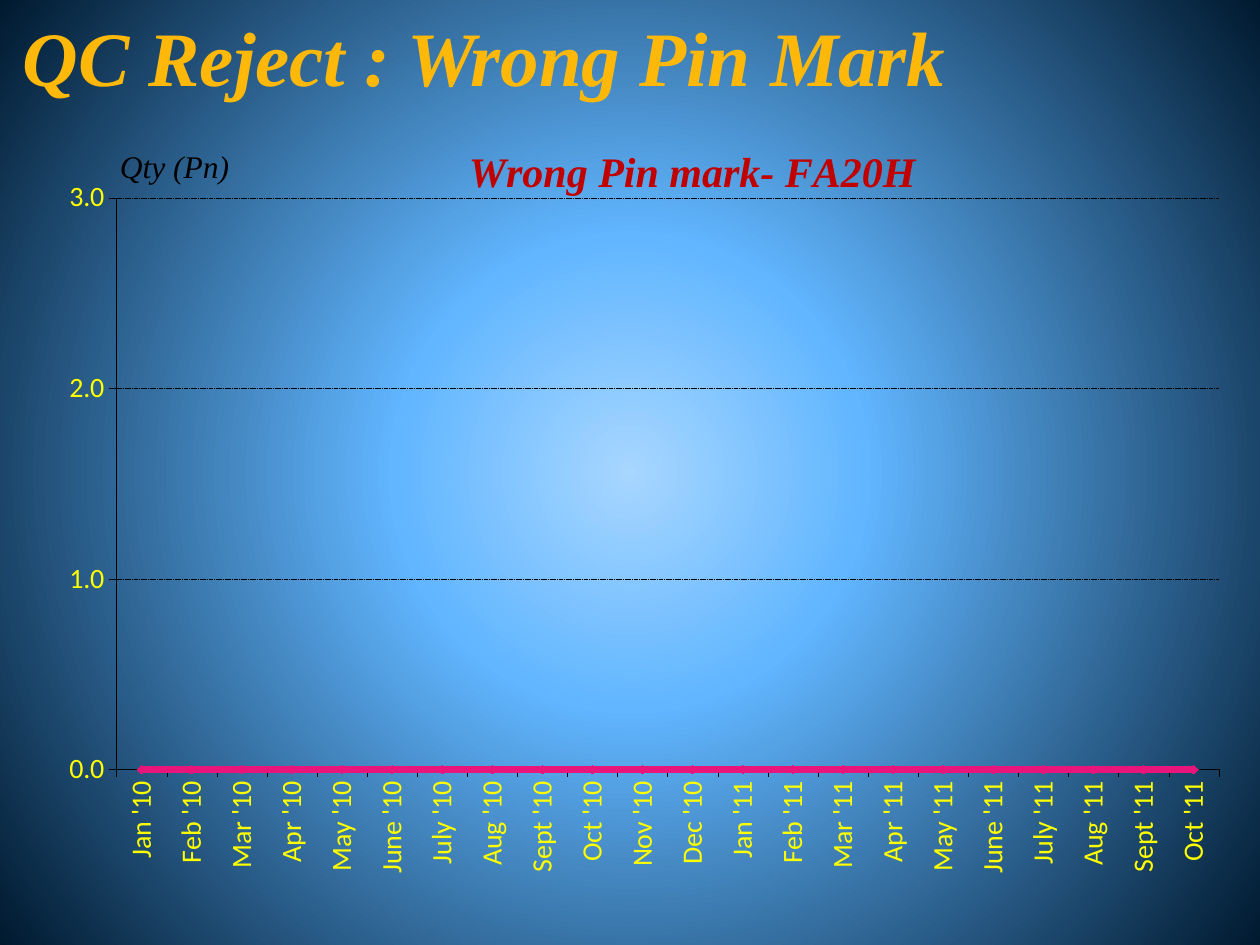
from lxml import etree
from pptx import Presentation
from pptx.chart.data import CategoryChartData
from pptx.dml.color import RGBColor
from pptx.enum.chart import XL_CHART_TYPE, XL_MARKER_STYLE, XL_TICK_MARK
from pptx.enum.dml import MSO_LINE
from pptx.enum.text import MSO_ANCHOR
from pptx.oxml import parse_xml
from pptx.oxml.ns import nsdecls, qn
from pptx.util import Pt

LINE_MARKERS = XL_CHART_TYPE.LINE_MARKERS
DIAMOND = XL_MARKER_STYLE.DIAMOND
OUTSIDE = XL_TICK_MARK.OUTSIDE
SYS_DASH = MSO_LINE.SQUARE_DOT
MIDDLE = MSO_ANCHOR.MIDDLE
SERIF, SANS = "Times New Roman", "Calibri"
COLORS = {
    "center": "A7D6FF", "mid": "61B6FF", "edge": "00192F",
    "title": "FEB80A", "heading": "C00000", "labels": "FFFF00",
    "black": "000000", "series": "EA157A",
}


def style(font, size, color, name, bold=False, italic=False):
    font.size, font.name = Pt(size), name
    font.bold, font.italic = bold, italic
    font.color.rgb = RGBColor.from_string(COLORS[color])


def set_layout(parent, index, target=None, **fractions):
    """Place a chart part by fractions of the chart area."""
    for old in parent.findall(qn("c:layout")):
        parent.remove(old)
    layout = parse_xml(f"<c:layout {nsdecls('c')}><c:manualLayout/></c:layout>")
    if target:
        etree.SubElement(layout[0], qn("c:layoutTarget")).set("val", target)
    for axis in ("x", "y"):
        etree.SubElement(layout[0], qn(f"c:{axis}Mode")).set("val", "edge")
    for key, value in fractions.items():
        etree.SubElement(layout[0], qn(f"c:{key}")).set("val", str(value))
    parent.insert(index, layout)


prs = Presentation()
prs.slide_width, prs.slide_height = Pt(720), Pt(540)
s = prs.slides.add_slide(prs.slide_layouts[6])

# Radial background
s.background.fill.gradient()
grad = s.background._cSld.find(".//" + qn("a:gradFill"))
for child in list(grad):
    grad.remove(child)
stops = etree.SubElement(grad, qn("a:gsLst"))
for percent, name in ((0, "center"), (30, "mid"), (100, "edge")):
    stop = etree.SubElement(stops, qn("a:gs"), pos=str(percent * 1000))
    etree.SubElement(stop, qn("a:srgbClr"), val=COLORS[name])
radial = etree.SubElement(grad, qn("a:path"), path="circle")
etree.SubElement(radial, qn("a:fillToRect"), l="50000", t="50000", r="50000", b="50000")

# Slide title
sp = s.shapes.add_textbox(Pt(5.76), Pt(7.9), Pt(644.4), Pt(48.2))
tf = sp.text_frame
tf.word_wrap, tf.vertical_anchor = True, MIDDLE
r = tf.paragraphs[0].add_run()
r.text = "QC Reject : Wrong Pin Mark"
style(r.font, 44, "title", SERIF, bold=True, italic=True)

# Chart data: January 2010 to October 2011
months = "Jan Feb Mar Apr May June July Aug Sept Oct Nov Dec".split()
data = CategoryChartData(number_format="0.0")
data.categories = [f"{m} '{year}" for year in (10, 11) for m in months][:22]
data.add_series("Series 1", [0] * 22)
chart = s.shapes.add_chart(
    LINE_MARKERS, Pt(16.56), Pt(73.44), Pt(686.16), Pt(450), data).chart
chart.has_legend = False
style(chart.font, 8.2, "black", "Noto Sans CJK KR")
set_layout(chart._chartSpace.chart.plotArea, 0, "inner",
           x=0.073, y=0.088, w=0.918, h=0.726)

# Axes
cat_axis, val_axis = chart.category_axis, chart.value_axis
val_axis.minimum_scale, val_axis.maximum_scale, val_axis.major_unit = 0, 3, 1
val_axis.has_major_gridlines = True
val_axis.tick_labels.number_format = "0.0"
val_axis.tick_labels.number_format_is_linked = False
val_axis.major_gridlines.format.line.dash_style = SYS_DASH
for axis in (cat_axis, val_axis):
    axis.major_tick_mark = OUTSIDE
    style(axis.tick_labels.font, 16, "labels", SANS)
for line in (cat_axis.format.line, val_axis.format.line,
             val_axis.major_gridlines.format.line):
    line.width = Pt(0.25)
    line.color.rgb = RGBColor.from_string(COLORS["black"])
cat_axis._element.find(qn("c:txPr")).find(qn("a:bodyPr")).set("rot", "-5400000")

# Chart title and horizontal value axis title, both above the top gridline
chart.has_title = val_axis.has_title = True
for title, text, size, color, bold, x, y in (
        (chart.chart_title, "Wrong Pin mark- FA20H", 24, "heading", True, 0.36, 0.01),
        (val_axis.axis_title, "Qty (Pn)", 18, "black", False, 0.071, 0.017)):
    tf = title.text_frame
    r = tf.paragraphs[0].add_run()
    r.text = text
    style(r.font, size, color, SERIF, bold=bold, italic=True)
    tf._txBody.find(qn("a:bodyPr")).set("rot", "0")
    set_layout(title._element, 1, x=x, y=y)
chart.chart_title.include_in_layout = True

# Series
series = chart.plots[0].series[0]
chart.plots[0].vary_by_categories = False
series.smooth = False
pink = RGBColor.from_string(COLORS["series"])
series.format.line.width = Pt(4.33)
series.marker.style, series.marker.size = DIAMOND, 5
series.marker.format.fill.solid()
series.marker.format.fill.fore_color.rgb = pink
for line in (series.format.line, series.marker.format.line):
    line.color.rgb = pink

prs.save("out.pptx")
